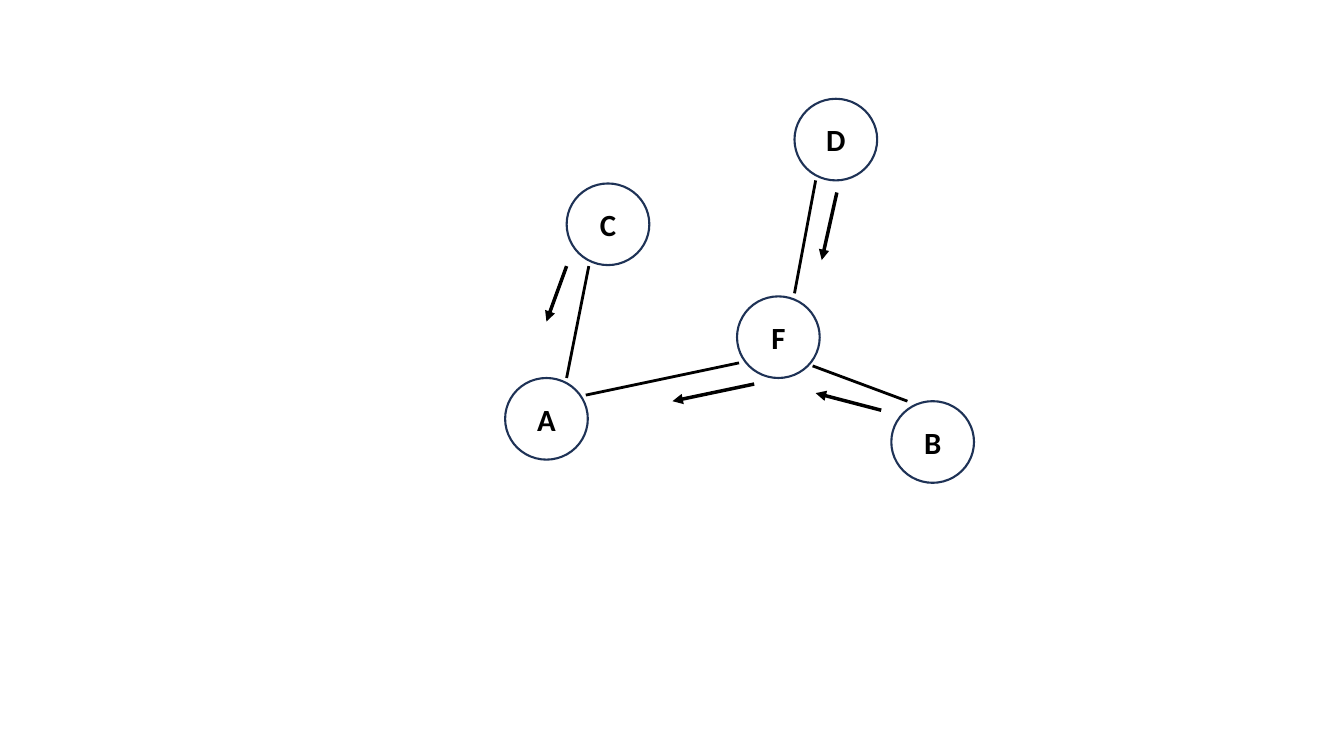
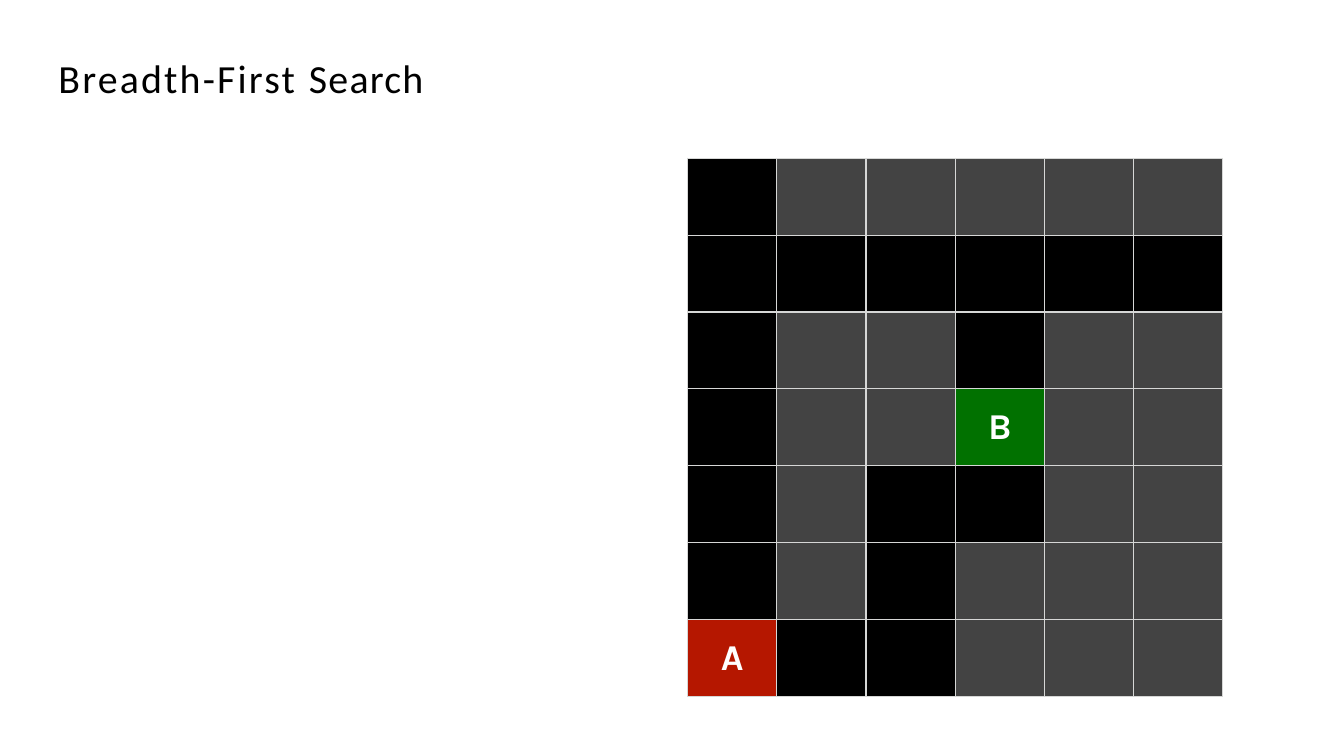
from dataclasses import dataclass

from pptx import Presentation
from pptx.dml.color import RGBColor
from pptx.enum.shapes import MSO_CONNECTOR as Connector, MSO_SHAPE as Shape
from pptx.enum.text import MSO_ANCHOR as Anchor, MSO_AUTO_SIZE as AutoSize, PP_ALIGN as Align
from pptx.oxml.ns import qn
from pptx.util import Pt
from lxml.etree import SubElement


@dataclass(frozen=True)
class Theme:
    # Colours
    ink: str = "000000"
    paper: str = "FFFFFF"
    node_line: str = "1E3256"
    path_cell: str = "000000"
    wall_cell: str = "434343"
    start_cell: str = "B51700"
    goal_cell: str = "017100"
    grid_line: str = "D6D7D6"
    # Fonts and type sizes in points
    font: str = "Calibri"
    maze_font: str = "Karla"
    title_size: float = 28.5
    node_size: float = 22
    maze_size: float = 26
    # Line widths in points
    node_width: float = 1.5
    edge_width: float = 2
    arrow_width: float = 2.5
    grid_width: float = 1


THEME = Theme()
EMU_PER_PX = 9144  # 100 px to the inch
SLIDE_SIZE = (1333, 750)
TITLE_ONLY, BLANK = 5, 6

# Graph: left and top of each node, then line ends
NODE_WIDTH, NODE_HEIGHT = 82, 81
NODES = {"A": (501, 375), "C": (562, 182), "F": (731, 294), "B": (884, 398), "D": (788, 98)}
EDGES = [
    ((562, 375), (584, 264)),
    ((581, 392), (733, 360)),
    ((806, 363), (900, 398)),
    ((788, 291), (809, 179)),
]
ARROWS = [
    ((748, 381), (667, 398)),
    ((562, 264), (542, 319)),
    ((830, 191), (815, 258)),
    ((874, 407), (809, 390)),
]

# Maze: "#" is a wall, "." a path, A the start and B the goal
MAZE_BOX = (682, 157, 531, 534)
MAZE = [
    ".#####",
    "......",
    ".##.##",
    ".##B##",
    ".#..##",
    ".#.###",
    "A..###",
]
CELL_FILLS = {
    "#": THEME.wall_cell,
    ".": THEME.path_cell,
    "A": THEME.start_cell,
    "B": THEME.goal_cell,
}


def px(*lengths):
    return [length * EMU_PER_PX for length in lengths]


def colour(value):
    return RGBColor.from_string(value)


def add_run(paragraph, text, size, color, font=THEME.font, bold=False, spacing=0):
    run = paragraph.add_run()
    run.text = text
    run.font.name = font
    run.font.size = Pt(size)
    run.font.bold = bold
    run.font.color.rgb = colour(color)
    if spacing:
        run.font._element.set("spc", str(round(spacing * 100)))


def clear_margins(frame):
    frame.margin_left = frame.margin_right = frame.margin_top = frame.margin_bottom = 0


def set_title(slide, box, runs):
    title = slide.shapes.title
    title.left, title.top, title.width, title.height = px(*box)
    frame = title.text_frame
    clear_margins(frame)
    frame.auto_size = AutoSize.NONE
    frame.vertical_anchor = Anchor.MIDDLE
    paragraph = frame.paragraphs[0]
    paragraph.alignment = Align.LEFT
    for text, spacing in runs:
        add_run(paragraph, text, THEME.title_size, THEME.ink, spacing=spacing)


def add_node(slide, label, left, top):
    shape = slide.shapes.add_shape(Shape.OVAL, *px(left, top, NODE_WIDTH, NODE_HEIGHT))
    shape.shadow.inherit = False
    shape.fill.background()
    shape.line.color.rgb = colour(THEME.node_line)
    shape.line.width = Pt(THEME.node_width)
    frame = shape.text_frame
    clear_margins(frame)
    frame.vertical_anchor = Anchor.MIDDLE
    paragraph = frame.paragraphs[0]
    paragraph.alignment = Align.CENTER
    add_run(paragraph, label, THEME.node_size, THEME.ink, bold=True)


def add_line(slide, start, end, width, arrow=False):
    connector = slide.shapes.add_connector(Connector.STRAIGHT, *px(*start, *end))
    connector.line.color.rgb = colour(THEME.ink)
    connector.line.width = Pt(width)
    properties = connector._element.spPr
    if arrow:
        SubElement(properties.find(qn("a:ln")), qn("a:tailEnd"), type="triangle")
    SubElement(properties, qn("a:effectLst"))


def set_borders(cell):
    properties = cell._tc.get_or_add_tcPr()
    for side in ("lnL", "lnR", "lnT", "lnB"):
        line = SubElement(properties, qn(f"a:{side}"), w=str(Pt(THEME.grid_width)))
        fill = SubElement(line, qn("a:solidFill"))
        SubElement(fill, qn("a:srgbClr"), val=THEME.grid_line)


def add_maze(slide, rows, box):
    left, top, width, height = px(*box)
    row_count, column_count = len(rows), len(rows[0])
    table = slide.shapes.add_table(row_count, column_count, left, top, width, height).table
    table.first_row = table.horz_banding = False
    for column in table.columns:
        column.width = width // column_count
    for row in table.rows:
        row.height = height // row_count
    for cell, mark in zip(table.iter_cells(), "".join(rows)):
        set_borders(cell)
        cell.fill.solid()
        cell.fill.fore_color.rgb = colour(CELL_FILLS[mark])
        clear_margins(cell)
        cell.vertical_anchor = Anchor.MIDDLE
        if mark.isalpha():
            paragraph = cell.text_frame.paragraphs[0]
            paragraph.alignment = Align.CENTER
            add_run(paragraph, mark, THEME.maze_size, THEME.paper, THEME.maze_font, bold=True)


def add_slide(presentation, layout):
    slide = presentation.slides.add_slide(presentation.slide_layouts[layout])
    slide.background.fill.solid()
    slide.background.fill.fore_color.rgb = colour(THEME.paper)
    return slide


def build_graph_slide(presentation):
    slide = add_slide(presentation, BLANK)
    for label, (left, top) in NODES.items():
        add_node(slide, label, left, top)
    for start, end in EDGES:
        add_line(slide, start, end, THEME.edge_width)
    for start, end in ARROWS:
        add_line(slide, start, end, THEME.arrow_width, arrow=True)


def build_maze_slide(presentation):
    slide = add_slide(presentation, TITLE_ONLY)
    set_title(slide, (58, 52, 405, 49), [("Breadth-First ", 1.6), ("Search", 0.9)])
    add_maze(slide, MAZE, MAZE_BOX)


def main():
    presentation = Presentation()
    presentation.slide_width, presentation.slide_height = px(*SLIDE_SIZE)
    build_graph_slide(presentation)
    build_maze_slide(presentation)
    presentation.save("out.pptx")


if __name__ == "__main__":
    main()
